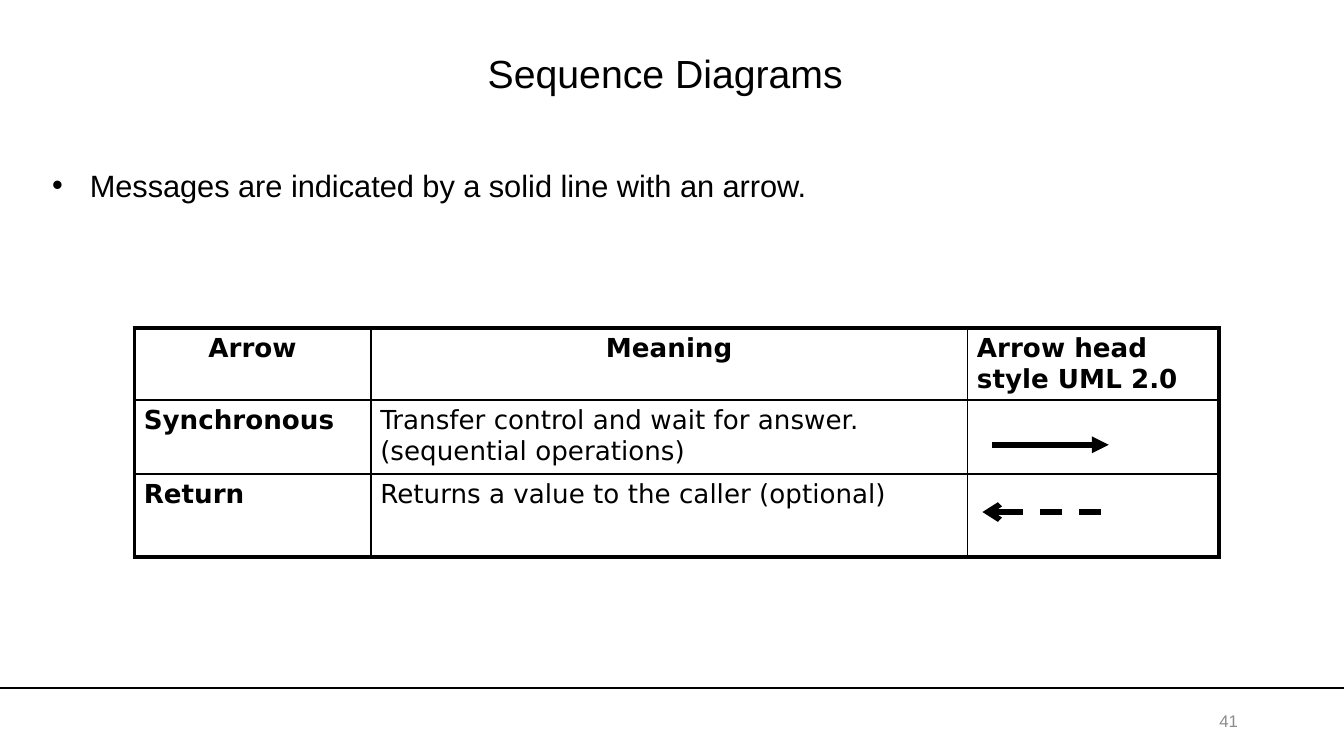
from dataclasses import dataclass

from lxml.etree import SubElement
from pptx import Presentation
from pptx.dml.color import RGBColor
from pptx.enum.dml import MSO_LINE_DASH_STYLE as Dash
from pptx.enum.shapes import MSO_CONNECTOR as Connector
from pptx.enum.text import MSO_ANCHOR as Anchor, PP_ALIGN as Align
from pptx.oxml.ns import qn
from pptx.slide import Slide
from pptx.util import Inches, Pt

BLACK = RGBColor(0x00, 0x00, 0x00)
GRAY = RGBColor(0x8C, 0x8C, 0x8C)

ROWS = [
    ("Arrow", "Meaning", "Arrow head style UML 2.0"),
    ("Synchronous", "Transfer control and wait for answer. (sequential operations)", ""),
    ("Return", "Returns a value to the caller (optional)", ""),
]
COLUMN_WIDTHS = (1.76, 4.44, 1.87)
ROW_HEIGHTS = (0.52, 0.55, 0.62)


@dataclass
class SlideBuilder:
    """Draws styled elements on the current slide."""

    page: Slide
    font: str = "Arial"
    table_font: str = "DejaVu Sans"
    thin: float = 1
    thick: float = 2.25

    def format_runs(self, para, size, color=BLACK, bold=False, font=None):
        for span in para.runs:
            span.font.name = font or self.font
            span.font.size = Pt(size)
            span.font.bold = bold
            span.font.color.rgb = color

    def title(self, text, left, top, width, height):
        box = self.page.shapes.title
        box.left, box.top = Inches(left), Inches(top)
        box.width, box.height = Inches(width), Inches(height)
        box.text_frame.text = text
        box.text_frame.vertical_anchor = Anchor.MIDDLE
        para = box.text_frame.paragraphs[0]
        para.alignment = Align.CENTER
        self.format_runs(para, 21)

    def text(self, text, left, top, width, height, size, color=BLACK,
             align=Align.LEFT, anchor=Anchor.TOP, bullet=False):
        box = self.page.shapes.add_textbox(
            Inches(left), Inches(top), Inches(width), Inches(height))
        frame = box.text_frame
        frame.word_wrap = True
        frame.vertical_anchor = anchor
        para = frame.paragraphs[0]
        para.text = text
        para.alignment = align
        if bullet:
            properties = para._p.get_or_add_pPr()
            properties.set("marL", str(Inches(0.28)))
            properties.set("indent", str(-Inches(0.28)))
            SubElement(properties, qn("a:buFont"), typeface="Arial")
            SubElement(properties, qn("a:buChar"), char="•")
        self.format_runs(para, size, color)

    def line(self, start, end, width, dash=None, **arrowheads):
        connector = self.page.shapes.add_connector(
            Connector.STRAIGHT, *map(Inches, start + end))
        connector.line.color.rgb = BLACK
        connector.line.width = Pt(width)
        if dash:
            connector.line.dash_style = dash
        outline = connector.line._get_or_add_ln()
        for name, kind in arrowheads.items():
            SubElement(outline, qn(f"a:{name}"), type=kind)
        SubElement(connector._element.spPr, qn("a:effectLst"))

    def borders(self, cell, outer_sides):
        properties = cell._tc.get_or_add_tcPr()
        for side in "LRTB":
            width = self.thick if side in outer_sides else self.thin
            edge = SubElement(properties, qn(f"a:ln{side}"), w=str(Pt(width)))
            fill = SubElement(edge, qn("a:solidFill"))
            SubElement(fill, qn("a:srgbClr"), val=str(BLACK))

    def cell(self, cell, text, bold, align, outer_sides):
        cell.margin_left = cell.margin_right = Inches(0.07)
        cell.margin_top = Inches(0.04)
        cell.margin_bottom = Inches(0.03)
        self.borders(cell, outer_sides)
        cell.fill.background()
        if text:
            para = cell.text_frame.paragraphs[0]
            para.text = text
            para.alignment = align
            self.format_runs(para, 14, bold=bold, font=self.table_font)

    def table(self, rows, left, top, widths, heights):
        last_row, last_column = len(heights) - 1, len(widths) - 1
        table = self.page.shapes.add_table(
            len(heights), len(widths), Inches(left), Inches(top),
            Inches(sum(widths)), Inches(sum(heights))).table
        table.first_row = table.horz_banding = False
        for column, width in zip(table.columns, widths):
            column.width = Inches(width)
        for row, height in zip(table.rows, heights):
            row.height = Inches(height)
        for r, texts in enumerate(rows):
            for c, text in enumerate(texts):
                edges = {"L": c == 0, "R": c == last_column,
                         "T": r == 0, "B": r == last_row}
                centered = r == 0 and c < last_column
                self.cell(table.cell(r, c), text, r == 0 or c == 0,
                          Align.CENTER if centered else Align.LEFT,
                          [side for side, outer in edges.items() if outer])


def main():
    deck = Presentation()
    deck.slide_width = Inches(10)
    deck.slide_height = deck.slide_width * 9 // 16
    builder = SlideBuilder(deck.slides.add_slide(deck.slide_layouts[5]))
    builder.line((0, 5.12), (10, 5.12), 0.75)
    builder.title("Sequence Diagrams", 0.29, 0.07, 9.32, 0.94)
    builder.text("Messages are indicated by a solid line with an arrow.",
                 0.29, 1.19, 9.32, 3.76, 16.5, bullet=True)
    builder.table(ROWS, 1, 2.44, COLUMN_WIDTHS, ROW_HEIGHTS)
    builder.line((7.38, 3.31), (8.25, 3.31), 3, tailEnd="triangle")
    builder.line((7.31, 3.81), (8.19, 3.81), 3, Dash.DASH, headEnd="arrow")
    builder.text("41", 7.06, 5.21, 2.25, 0.3, 9, GRAY, Align.RIGHT, Anchor.MIDDLE)
    deck.save("out.pptx")


if __name__ == "__main__":
    main()
